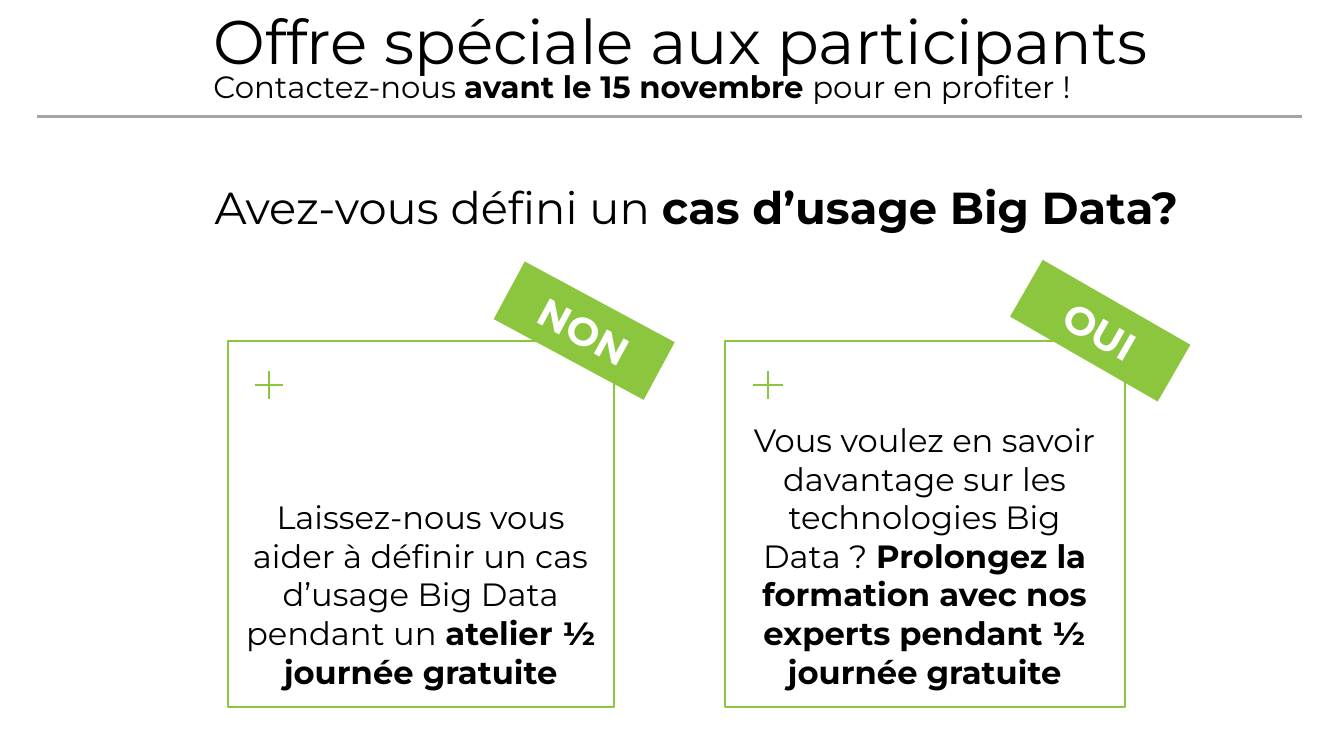
from dataclasses import dataclass

import pptx
import pptx.dml.color
import pptx.enum.shapes
import pptx.enum.text
import pptx.oxml.ns
import pptx.util
from lxml import etree

Pt = pptx.util.Pt
RGB = pptx.dml.color.RGBColor.from_string
ALIGN = pptx.enum.text.PP_ALIGN
ANCHOR = pptx.enum.text.MSO_ANCHOR
RECTANGLE = pptx.enum.shapes.MSO_SHAPE.RECTANGLE
STRAIGHT = pptx.enum.shapes.MSO_CONNECTOR.STRAIGHT


@dataclass(frozen=True)
class Theme:
    font: str = "Montserrat"
    ink: str = "000000"
    paper: str = "FFFFFF"
    rule: str = "A5A5A5"
    border: str = "8CC63F"
    tag: str = "8BC63E"
    title: float = 44
    question: float = 32
    tag_size: float = 28
    card_size: float = 23
    subtitle: float = 22


THEME = Theme()


def write(frame, runs, size, color=THEME.ink, align=ALIGN.LEFT,
          anchor=ANCHOR.TOP, spacing=1.0):
    """Fill a text frame with one paragraph of (text, bold) runs."""
    frame.word_wrap = True
    frame.vertical_anchor = anchor
    paragraph = frame.paragraphs[0]
    paragraph.alignment = align
    paragraph.line_spacing = spacing
    paragraph.font.name = THEME.font
    paragraph.font.size = Pt(size)
    paragraph.font.color.rgb = RGB(color)
    for text, bold in runs:
        run = paragraph.add_run()
        run.text = text
        run.font.bold = bold
    return paragraph


def add_text(slide, box, runs, size, **style):
    label = slide.shapes.add_textbox(*map(Pt, box))
    return write(label.text_frame, runs, size, **style)


def add_line(slide, start, end, color, width):
    line = slide.shapes.add_connector(STRAIGHT, *map(Pt, start + end))
    line.line.color.rgb = RGB(color)
    line.line.width = Pt(width)
    etree.SubElement(line._element.spPr, pptx.oxml.ns.qn("a:effectLst"))


def add_box(slide, box, fill, border=None):
    panel = slide.shapes.add_shape(RECTANGLE, *map(Pt, box))
    panel.shadow.inherit = False
    panel.fill.solid()
    panel.fill.fore_color.rgb = RGB(fill)
    if border:
        panel.line.color.rgb = RGB(border)
        panel.line.width = Pt(1.5)
    else:
        panel.line.fill.background()
    return panel


def add_header(slide, box):
    """Title and subtitle above a full-width rule."""
    left, top, width, height = box
    text_left, text_width = left + 118.8, 748.8
    add_line(slide, (left, top + height), (left + width, top + height), THEME.rule, 2.25)
    add_text(slide, (text_left, top, text_width, 56.2),
             [("Offre spéciale aux participants", False)],
             THEME.title, anchor=ANCHOR.MIDDLE, spacing=0.9)
    add_text(slide, (text_left, top + 44.6, text_width, 28.8),
             [("Contactez-nous ", False), ("avant le 15 novembre ", True),
              ("pour en profiter !", False)], THEME.subtitle, spacing=0.9)


def add_question(slide, box):
    question = add_text(slide, box, [("Avez-vous défini un ", False),
                                     ("cas d’usage Big Data?", True)], THEME.question)
    question._p.get_or_add_pPr().set("marL", str(Pt(36)))


def add_card(slide, box, answer, runs, plus, tag_inset, tilt):
    """Offer card with a plus sign and a tilted answer tag at its top right."""
    left, top, width, height = box
    panel = add_box(slide, box, THEME.paper, THEME.border)
    frame = panel.text_frame
    frame.margin_left = frame.margin_right = Pt(7.2)
    frame.margin_top, frame.margin_bottom = Pt(3.6), Pt(11.5)
    write(frame, runs, THEME.card_size, align=ALIGN.CENTER, anchor=ANCHOR.BOTTOM)

    # Plus sign
    offset, arm = plus
    x, y = left + offset, top + 31.5
    add_line(slide, (x, y - 9.9), (x, y + 9.9), THEME.border, 1.5)
    add_line(slide, (x - arm, y), (x + arm, y), THEME.border, 1.5)

    # Answer tag, centred near the corner
    tag_width, tag_height = 121.7, 46.8
    tag = add_box(slide, (left + width - tag_inset - tag_width / 2,
                          top - 7.2 - tag_height / 2, tag_width, tag_height), THEME.tag)
    tag.rotation = tilt
    write(tag.text_frame, [(answer, True)], THEME.tag_size, THEME.paper,
          ALIGN.CENTER, ANCHOR.MIDDLE)


def main():
    deck = pptx.Presentation()
    deck.slide_width, deck.slide_height = Pt(960), Pt(540)
    slide = deck.slides.add_slide(deck.slide_layouts[6])

    add_header(slide, (26.6, 3.6, 903.6, 79.9))
    add_question(slide, (110.2, 124.6, 818.6, 46.1))
    card_top, card_height = 243.4, 261.4
    add_card(slide, (162.7, card_top, 275.8, card_height), "NON",
             [("Laissez-nous vous aider à définir un cas d’usage Big Data pendant un ", False),
              ("atelier ½ journée gratuite", True)],
             plus=(29.5, 10.1), tag_inset=21.2, tilt=28.3)
    add_card(slide, (517.7, card_top, 285.8, card_height), "OUI",
             [("Vous voulez en savoir davantage sur les technologies Big Data ? ", False),
              ("Prolongez la formation avec nos experts pendant ½ journée gratuite", True)],
             plus=(31, 10.8), tag_inset=17.6, tilt=29.9)

    deck.save("out.pptx")


if __name__ == "__main__":
    main()
